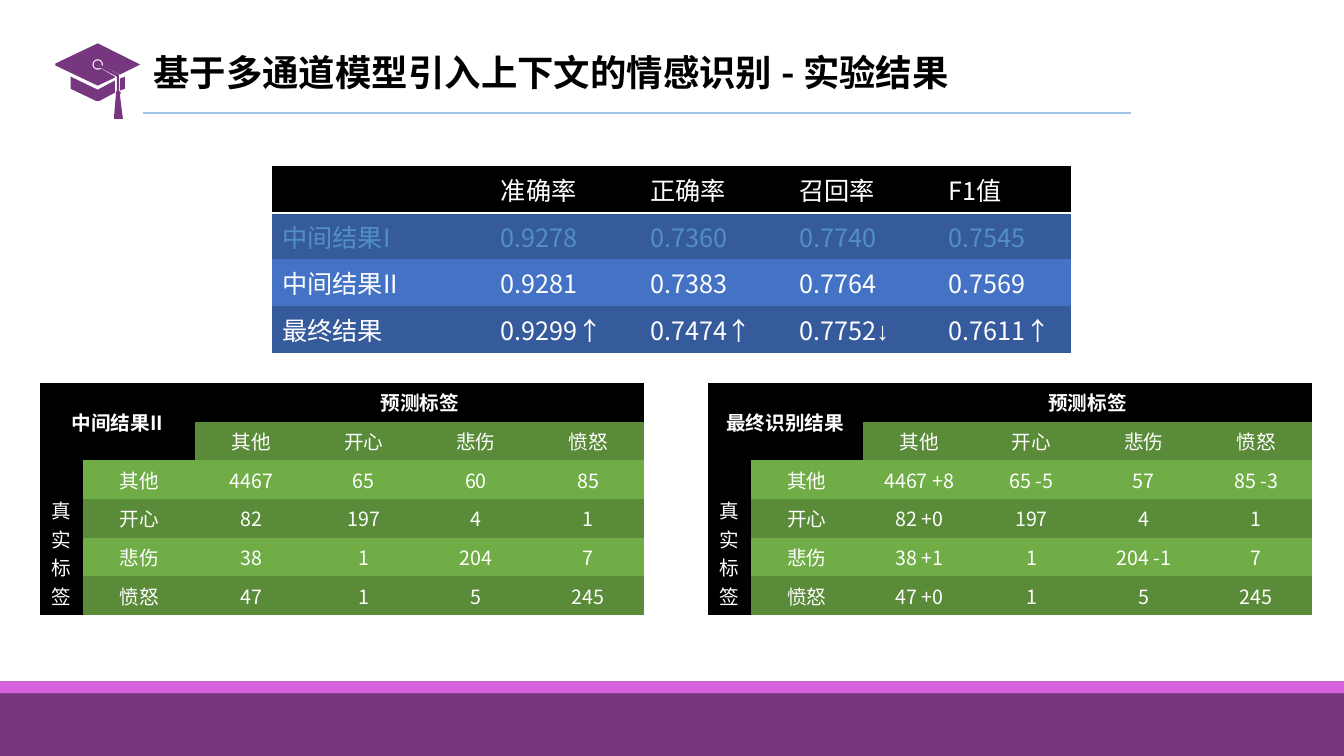
import math
import pptx
import pptx.dml.color
import pptx.enum.shapes
import pptx.enum.text
import pptx.oxml
import pptx.oxml.ns
import pptx.util

Cm = pptx.util.Cm
Pt = pptx.util.Pt
RGBColor = pptx.dml.color.RGBColor
ALIGN = pptx.enum.text.PP_ALIGN
ANCHOR = pptx.enum.text.MSO_ANCHOR
qn = pptx.oxml.ns.qn

BLACK = RGBColor(0x00, 0x00, 0x00)
WHITE = RGBColor(0xFF, 0xFF, 0xFF)
PURPLE = RGBColor(0x77, 0x37, 0x7E)
PINK = RGBColor(0xD6, 0x61, 0xDD)
SKY = RGBColor(0x9D, 0xC3, 0xE6)
PALE = RGBColor(0x52, 0x8F, 0xC7)
NAVY = RGBColor(0x36, 0x5B, 0x9D)
BLUE = RGBColor(0x44, 0x72, 0xC4)
MOSS = RGBColor(0x5A, 0x8B, 0x39)
GREEN = RGBColor(0x70, 0xAD, 0x47)

FONT = "Noto Sans CJK SC"
PLAIN = "{2D5ABB26-0587-4C30-8999-92F81FD0307C}"

SCORES = [
    ["", "准确率", "正确率", "召回率", "F1值"],
    ["中间结果I", "0.9278", "0.7360", "0.7740", "0.7545"],
    ["中间结果II", "0.9281", "0.7383", "0.7764", "0.7569"],
    ["最终结果", "0.9299↑", "0.7474↑", "0.7752↓", "0.7611↑"],
]
MOODS = ["其他", "开心", "悲伤", "愤怒"]
MIDDLE = [
    ["4467", "65", "60", "85"],
    ["82", "197", "4", "1"],
    ["38", "1", "204", "7"],
    ["47", "1", "5", "245"],
]
FINAL = [
    ["4467 +8", "65 -5", "57", "85 -3"],
    ["82 +0", "197", "4", "1"],
    ["38 +1", "1", "204 -1", "7"],
    ["47 +0", "1", "5", "245"],
]


def write(frame, text, size=14, color=WHITE, bold=False, align=ALIGN.LEFT, space=None):
    line = frame.paragraphs[0]
    line.alignment = align
    line.line_spacing = space
    body = text.rstrip("↓")
    for part, face in ((body, FONT), (text[len(body):], "Arial")):
        if part:
            run = line.add_run()
            run.text = part
            run.font.size = Pt(size)
            run.font.bold = bold
            run.font.color.rgb = color
            run.font.name = face
            east = run.font._element.makeelement(qn("a:ea"), {"typeface": face})
            run.font._element.find(qn("a:latin")).addnext(east)


def paint(shape, color):
    shape.shadow.inherit = False
    shape.fill.solid()
    shape.fill.fore_color.rgb = color
    shape.line.fill.background()


def add_bar(slide, top, width, height, color):
    kind = pptx.enum.shapes.MSO_SHAPE.RECTANGLE
    paint(slide.shapes.add_shape(kind, 0, Cm(top), width, Cm(height)), color)


def add_title(slide, text):
    title = slide.shapes.title
    title.left, title.top, title.width, title.height = Cm(3.61), Cm(0.94), Cm(26.47), Cm(1.9)
    frame = title.text_frame
    frame.auto_size = pptx.enum.text.MSO_AUTO_SIZE.NONE
    frame.vertical_anchor = ANCHOR.MIDDLE
    write(frame, text, size=26, color=BLACK, bold=True, space=0.9)


def add_rule(slide):
    kind = pptx.enum.shapes.MSO_CONNECTOR.STRAIGHT
    rule = slide.shapes.add_connector(kind, Cm(3.61), Cm(2.84), Cm(28.5), Cm(2.84))
    rule.line.color.rgb = SKY
    rule.line.width = Pt(1.5)
    props = rule._element.spPr
    props.append(props.makeelement(qn("a:effectLst"), {}))


def arc(radius):
    turns = [math.radians(angle) for angle in range(52, 373, 16)]
    return [(97 + radius * math.cos(t), 64 + radius * math.sin(t)) for t in turns]


def add_cap(slide):
    parts = [
        [(119, 90), (124, 88), (124, 76), (119, 78)],
        [(70, 76), (70, 88), (95, 100), (99, 100), (114, 92), (114, 80), (97, 89)],
        [(116, 76)] + arc(4) + [(118, 74), (118, 75)],
        [(139, 64), (97, 43), (55, 63), (55, 65), (97, 85), (114, 77), (114, 76)]
        + arc(5.2) + [(119, 74)],
        [(118, 75), (118, 90), (120, 92), (119, 94), (122, 118), (113, 118),
         (115, 94), (115, 92), (116, 90), (116, 76)],
    ]
    pen = None
    for part in parts:
        spots = [(Cm(0.0254 * x), Cm(0.0254 * y)) for x, y in part]
        if pen is None:
            pen = slide.shapes.build_freeform(*spots[0])
        else:
            pen.move_to(*spots[0])
        pen.add_line_segments(spots[1:], close=True)
    paint(pen.convert_to_shape(), PURPLE)


def add_grid(slide, left, top, widths, height, rows):
    frame = slide.shapes.add_table(
        rows, len(widths), Cm(left), Cm(top), Cm(sum(widths)), Cm(height * rows))
    grid = frame.table
    grid._tbl.tblPr.find(qn("a:tableStyleId")).text = PLAIN
    for column, width in zip(grid.columns, widths):
        column.width = Cm(width)
    for row in grid.rows:
        row.height = Cm(height)
    return grid


def set_cell(cell, fill, text="", anchor=ANCHOR.TOP, **style):
    cell.fill.solid()
    cell.fill.fore_color.rgb = fill
    cell.vertical_anchor = anchor
    if text:
        write(cell.text_frame, text, **style)


def edge(cell):
    spaces = pptx.oxml.ns.nsdecls("a")
    line = pptx.oxml.parse_xml(
        f'<a:lnB {spaces} w="{int(Pt(2))}"><a:solidFill><a:srgbClr val="{WHITE}"/>'
        '</a:solidFill></a:lnB>')
    cell._tc.get_or_add_tcPr().insert(0, line)


def add_scores(slide):
    grid = add_grid(slide, 6.86, 4.19, [5.51, 3.76, 3.76, 3.76, 3.33], 1.03, len(SCORES))
    fills = [BLACK, NAVY, BLUE, NAVY]
    inks = [WHITE, PALE, WHITE, WHITE]
    for r, row in enumerate(SCORES):
        for c, text in enumerate(row):
            set_cell(grid.cell(r, c), fills[r], text, size=18, color=inks[r])
    for c in range(len(SCORES[0])):
        edge(grid.cell(0, c))


def add_matrix(slide, left, name, counts):
    grid = add_grid(slide, left, 9.65, [1.09] + [2.83] * 5, 0.89, 6)
    style = {"anchor": ANCHOR.MIDDLE, "align": ALIGN.CENTER}
    for r in range(6):
        for c in range(6):
            set_cell(grid.cell(r, c), BLACK)
    for start, end in (((0, 0), (1, 1)), ((0, 2), (0, 5)), ((2, 0), (5, 0))):
        grid.cell(*start).merge(grid.cell(*end))
    set_cell(grid.cell(0, 0), BLACK, name, bold=True, **style)
    set_cell(grid.cell(0, 2), BLACK, "预测标签", bold=True, **style)
    side = grid.cell(2, 0)
    set_cell(side, BLACK, "真实标签", anchor=ANCHOR.BOTTOM, align=ALIGN.CENTER)
    side._tc.get_or_add_tcPr().set("vert", "eaVert")
    for c, mood in enumerate(MOODS, 2):
        set_cell(grid.cell(1, c), MOSS, mood, **style)
    for r, (mood, row) in enumerate(zip(MOODS, counts), 2):
        for c, text in enumerate([mood] + row, 1):
            set_cell(grid.cell(r, c), MOSS if r % 2 else GREEN, text, **style)


def main():
    deck = pptx.Presentation()
    deck.slide_width, deck.slide_height = Cm(33.87), Cm(19.05)
    slide = deck.slides.add_slide(deck.slide_layouts[5])
    add_title(slide, "基于多通道模型引入上下文的情感识别 - 实验结果")
    add_cap(slide)
    add_rule(slide)
    add_scores(slide)
    add_bar(slide, 17.17, deck.slide_width, 1.88, PURPLE)
    add_matrix(slide, 1, "中间结果II", MIDDLE)
    add_matrix(slide, 17.83, "最终识别结果", FINAL)
    add_bar(slide, 17.17, deck.slide_width, 0.3, PINK)
    deck.save("out.pptx")


if __name__ == "__main__":
    main()
